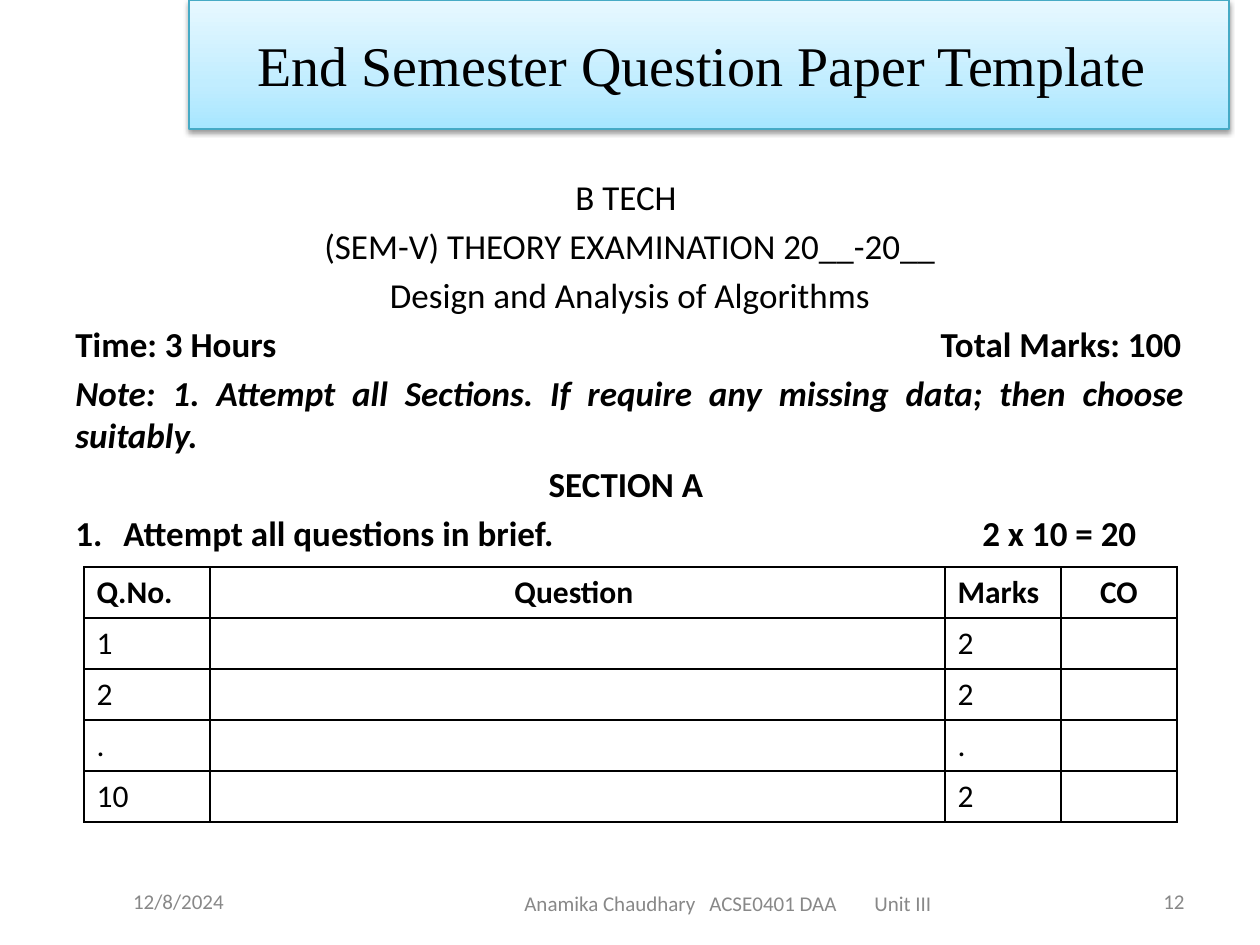
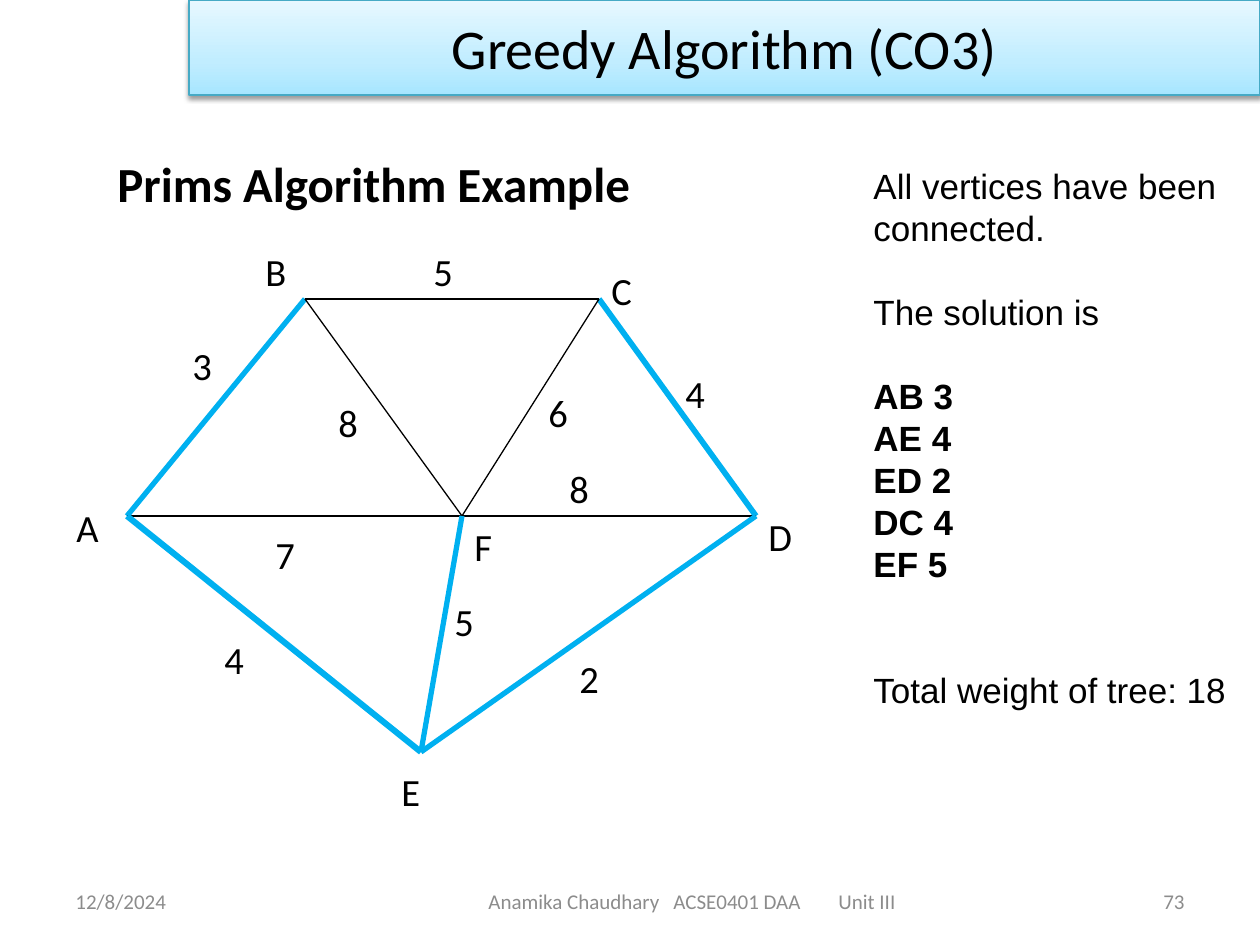
from copy import deepcopy
from dataclasses import dataclass
from typing import NamedTuple, Optional

from lxml.etree import SubElement
from pptx import Presentation
from pptx.dml.color import RGBColor
from pptx.enum.shapes import MSO_CONNECTOR as Connector, MSO_SHAPE as Preset
from pptx.enum.text import MSO_ANCHOR as Anchor, PP_ALIGN as Align
from pptx.oxml.ns import qn
from pptx.util import Emu, Pt

EMU_PER_PX = 914400 / 126
BLACK = RGBColor(0x00, 0x00, 0x00)
WHITE = RGBColor(0xFF, 0xFF, 0xFF)
TREE_BLUE = RGBColor(0x00, 0xB0, 0xF0)
BAND_EDGE = RGBColor(0x46, 0xAA, 0xC5)
BAND_STOPS = (
    (0.0, RGBColor(0xA7, 0xE6, 0xFF)),
    (0.35, RGBColor(0xC1, 0xED, 0xFF)),
    (1.0, RGBColor(0xE7, 0xF8, 0xFF)),
)
GREY = RGBColor(0x88, 0x88, 0x88)
LIGHT_GREY = RGBColor(0x8C, 0x8C, 0x8C)
COURSE = "Anamika Chaudhary\tACSE0401 DAA\tUnit III"


class Tab(NamedTuple):
    position: int
    kind: str = "l"


@dataclass(frozen=True)
class Line:
    text: str
    align: Align = Align.LEFT
    bold: bool = False
    italic: bool = False
    before: int = 0
    numbered_indent: int = 0
    tabs: tuple[Tab, ...] = ()


@dataclass(frozen=True)
class Style:
    size: int
    font: str = "Calibri"
    color: RGBColor = BLACK
    pitch: Optional[int] = None


class Box(NamedTuple):
    left: int
    top: int
    width: int
    height: int


class Band(NamedTuple):
    title: str
    width: int
    height: int
    font: str


class Footer(NamedTuple):
    date_box: Box
    date_align: Align
    course_box: Box
    number: str
    color: RGBColor


class Edge(NamedTuple):
    ends: str
    weight: str
    label_at: tuple[int, int]
    width: float = 0.75
    color: RGBColor = BLACK


def px(length: float) -> Emu:
    return Emu(round(length * EMU_PER_PX))


def emu_box(box: Box) -> list[Emu]:
    return [px(length) for length in box]


def fill_paragraph(paragraph, line: Line, style: Style) -> None:
    paragraph.text = line.text
    paragraph.alignment = line.align
    if line.before:
        paragraph.space_before = Pt(line.before)
    if style.pitch:
        paragraph.line_spacing = Pt(style.pitch)
    properties = paragraph._p.get_or_add_pPr()
    if line.numbered_indent:
        properties.set("marL", str(px(line.numbered_indent)))
        properties.set("indent", str(-px(line.numbered_indent)))
        SubElement(properties, qn("a:buFont"), typeface="+mj-lt")
        SubElement(properties, qn("a:buAutoNum"), type="arabicPeriod")
    if line.tabs:
        stops = SubElement(properties, qn("a:tabLst"))
        for tab in line.tabs:
            SubElement(stops, qn("a:tab"), pos=str(px(tab.position)), algn=tab.kind)
    for run in paragraph.runs:
        run.font.name = style.font
        run.font.size = Pt(style.size)
        run.font.color.rgb = style.color
        run.font.bold = line.bold
        run.font.italic = line.italic


def add_text(slide, box: Box, lines: list[Line], style: Style,
             anchor: Anchor = Anchor.TOP) -> None:
    frame = slide.shapes.add_textbox(*emu_box(box)).text_frame
    frame.word_wrap = True
    frame.vertical_anchor = anchor
    for index, line in enumerate(lines):
        paragraph = frame.add_paragraph() if index else frame.paragraphs[0]
        fill_paragraph(paragraph, line, style)


def add_band(slide, band: Band) -> None:
    shape = slide.shapes.add_shape(
        Preset.RECTANGLE, *emu_box(Box(189, 0, band.width, band.height)))
    shape.fill.gradient()
    shape.fill.gradient_angle = 90
    properties = shape._element.spPr
    stop_list = properties.find(".//" + qn("a:gsLst"))
    stop_list.append(deepcopy(stop_list[0]))
    for stop, (position, color) in zip(shape.fill.gradient_stops, BAND_STOPS):
        stop.position = position
        stop.color.rgb = color
    shape.line.color.rgb = BAND_EDGE
    shape.line.width = Pt(0.75)
    shape.shadow.inherit = False
    shadow = SubElement(
        properties.find(qn("a:effectLst")), qn("a:outerShdw"),
        blurRad=str(Pt(3.1)), dist=str(Pt(1.6)), dir="5400000", rotWithShape="0")
    shadow_color = SubElement(shadow, qn("a:srgbClr"), val=str(BLACK))
    SubElement(shadow_color, qn("a:alpha"), val="38000")
    shape.text_frame.word_wrap = True
    shape.text_frame.vertical_anchor = Anchor.MIDDLE
    fill_paragraph(shape.text_frame.paragraphs[0], Line(band.title, Align.CENTER),
                   Style(32, band.font))


def add_footer(slide, footer: Footer) -> None:
    style = Style(12, color=footer.color)
    course_tabs = (Tab(185), Tab(350))
    for box, line in (
        (footer.date_box, Line("12/8/2024", footer.date_align)),
        (footer.course_box, Line(COURSE, tabs=course_tabs)),
        (Box(903, 876, 294, 50), Line(footer.number, Align.RIGHT)),
    ):
        add_text(slide, box, [line], style, Anchor.MIDDLE)


def add_slide(deck, band: Band, footer: Footer):
    slide = deck.slides.add_slide(deck.slide_layouts[6])
    add_band(slide, band)
    add_footer(slide, footer)
    return slide


def add_borders(cell) -> None:
    properties = cell._tc.get_or_add_tcPr()
    for index, side in enumerate(("a:lnL", "a:lnR", "a:lnT", "a:lnB")):
        border = properties.makeelement(qn(side), {"w": str(Pt(1))})
        fill = SubElement(border, qn("a:solidFill"))
        SubElement(fill, qn("a:srgbClr"), val=str(BLACK))
        properties.insert(index, border)


def add_question_table(slide) -> None:
    rows = [("Q.No.", "Question ", "Marks", "CO")]
    rows += [(number, "", marks, "") for number, marks in
             (("1", "2"), ("2", "2"), (".", "."), ("10", "2"))]
    widths = (126, 735, 116, 116)
    row_height = 51
    box = Box(84, 567, sum(widths), row_height * len(rows))
    table = slide.shapes.add_table(len(rows), len(widths), *emu_box(box)).table
    for column, width in zip(table.columns, widths):
        column.width = px(width)
    for row_index, row in enumerate(rows):
        table.rows[row_index].height = px(row_height)
        for column_index, text in enumerate(row):
            cell = table.cell(row_index, column_index)
            cell.fill.solid()
            cell.fill.fore_color.rgb = WHITE
            add_borders(cell)
            heading = row_index == 0
            centred = heading and column_index in (1, 3)
            fill_paragraph(cell.text_frame.paragraphs[0],
                           Line(text, Align.CENTER if centred else Align.LEFT, heading),
                           Style(18))


def add_edge(slide, start: tuple[int, int], end: tuple[int, int], edge: Edge) -> None:
    connector = slide.shapes.add_connector(
        Connector.STRAIGHT, *(px(length) for length in (*start, *end)))
    connector.line.color.rgb = edge.color
    connector.line.width = Pt(edge.width)
    SubElement(connector._element.spPr, qn("a:effectLst"))


def build_question_paper(deck) -> None:
    slide = add_slide(
        deck,
        Band("End Semester Question Paper Template ", 1040, 129, "Times New Roman"),
        Footer(Box(84, 876, 189, 50), Align.CENTER, Box(512, 878, 433, 50), "12", GREY))
    add_text(slide, Box(63, 169, 1134, 394), [
        Line("B TECH ", Align.CENTER),
        Line("(SEM-V) THEORY EXAMINATION 20__-20__", Align.CENTER, before=4),
        Line("Design and Analysis of Algorithms", Align.CENTER, before=4),
        Line("Time: 3 Hours\tTotal Marks: 100", bold=True, before=4,
             tabs=(Tab(1106, "r"),)),
        Line("Note: 1. Attempt all Sections. If require any missing data; "
             "then choose suitably.", Align.JUSTIFY, True, True, 4),
        Line("SECTION A ", Align.CENTER, True, before=4),
        Line("Attempt all questions in brief.\t2 x 10 = 20", bold=True, before=4,
             numbered_indent=48, tabs=(Tab(1073, "r"),)),
    ], Style(20))
    add_question_table(slide)


def build_prims_example(deck) -> None:
    slide = add_slide(
        deck,
        Band("Greedy Algorithm (CO3)", 1071, 95, "Calibri"),
        Footer(Box(63, 876, 294, 50), Align.LEFT, Box(476, 876, 433, 50), "73", LIGHT_GREY))
    add_text(slide, Box(105, 147, 713, 72), [Line("Prims Algorithm Example", bold=True)],
             Style(28))
    vertices = {"A": (127, 516), "B": (305, 299), "C": (599, 299),
                "D": (756, 516), "E": (421, 752), "F": (462, 516)}
    vertex_labels = {"A": (64, 498), "B": (253, 242), "C": (599, 261),
                     "D": (756, 507), "E": (389, 762), "F": (462, 517)}
    edges = [
        Edge("AB", "3", (180, 336), 3, TREE_BLUE),
        Edge("BC", "5", (421, 242)),
        Edge("CD", "4", (673, 364), 3.25, TREE_BLUE),
        Edge("AF", "7", (263, 525)),
        Edge("FD", "8", (557, 459)),
        Edge("BF", "8", (326, 393)),
        Edge("FC", "6", (536, 383)),
        Edge("AE", "4", (212, 630), 3.5, TREE_BLUE),
        Edge("EF", "5", (442, 592), 3, TREE_BLUE),
        Edge("ED", "2", (567, 649), 3, TREE_BLUE),
    ]
    for edge in edges:
        start, end = edge.ends
        add_edge(slide, vertices[start], vertices[end], edge)
    labels = [*vertex_labels.items(), *((edge.weight, edge.label_at) for edge in edges)]
    for text, (left, top) in labels:
        add_text(slide, Box(left, top, 63, 59), [Line(text)], Style(22))
    add_text(slide, Box(861, 158, 399, 606), [
        Line("All vertices have been"),
        Line("connected."),
        Line("The solution is", before=24),
        Line("AB 3", bold=True, before=24),
        *(Line(text, bold=True) for text in ("AE 4", "ED 2", "DC 4", "EF 5")),
        Line("Total weight of tree: 18", before=48),
    ], Style(20, "Arial", pitch=24))


def main() -> None:
    deck = Presentation()
    deck.slide_width = px(1260)
    deck.slide_height = px(945)
    build_question_paper(deck)
    build_prims_example(deck)
    deck.save("out.pptx")


if __name__ == "__main__":
    main()
